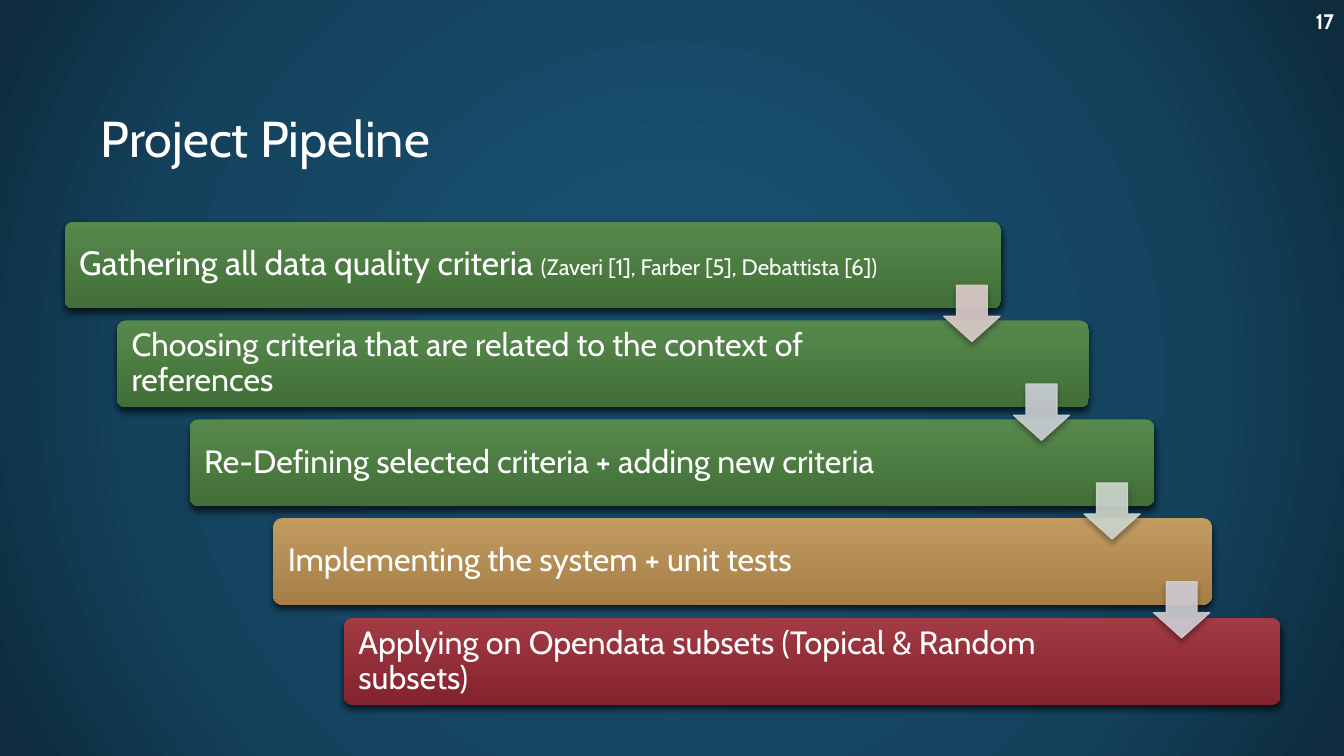
from lxml.etree import SubElement
from pptx import Presentation
from pptx.dml.color import RGBColor as RGB
from pptx.enum.shapes import MSO_SHAPE as SHAPE
from pptx.enum.text import MSO_ANCHOR as ANCHOR, MSO_AUTO_SIZE as AUTO, PP_ALIGN as ALIGN
from pptx.oxml import parse_xml
from pptx.oxml.ns import nsdecls, qn
from pptx.util import Pt

PX = 9144  # EMU, 100 px to the inch
C = {
    "white": "FFFFFF", "black": "000000",
    "bg": "184E6E", "bg_mid": "14425D", "bg_edge": "0E2C3E",
    "green": "57894D", "green_dark": "416F37",
    "gold": "C29B61", "gold_dark": "A57F46",
    "red": "A23B44", "red_dark": "84222D",
}


def write(sp, *runs, align=ALIGN.LEFT, bold=False, spacing=None):
    """Fill a shape with one paragraph made of (text, point size) runs."""
    tf = sp.text_frame
    tf.word_wrap = True
    tf.auto_size = AUTO.NONE
    tf.vertical_anchor = ANCHOR.MIDDLE
    p = tf.paragraphs[0]
    p.alignment = align
    p.line_spacing = spacing
    for text, size in runs:
        r = p.add_run()
        r.text = text
        r.font.name = "Cabin"
        r.font.size = Pt(size)
        r.font.bold = bold
        r.font.color.rgb = RGB.from_string(C["white"])


def add_shadow(sp, alpha, blur, dist):
    """Drop a black shadow downwards; alpha in percent, lengths in points."""
    sp.shadow.inherit = False
    effects = sp._element.spPr.find(qn("a:effectLst"))
    shadow = SubElement(effects, qn("a:outerShdw"), blurRad=str(Pt(blur)),
                        dist=str(Pt(dist)), dir="5400000", rotWithShape="0")
    color = SubElement(shadow, qn("a:srgbClr"), val=C["black"])
    SubElement(color, qn("a:alpha"), val=str(alpha * 1000))


prs = Presentation()
prs.slide_width, prs.slide_height = 1333 * PX, 750 * PX
s = prs.slides.add_slide(prs.slide_layouts[5])

# Radial background
s.background.fill.gradient()
grad = s._element.find(".//" + qn("a:gradFill"))
stops = "".join(
    f'<a:gs pos="{pos * 1000}"><a:srgbClr val="{C[name]}"/></a:gs>'
    for pos, name in [(0, "bg"), (23, "bg"), (69, "bg_mid"), (97, "bg_edge")])
grad.getparent().replace(grad, parse_xml(
    f'<a:gradFill {nsdecls("a")} rotWithShape="1"><a:gsLst>{stops}</a:gsLst>'
    '<a:path path="circle"><a:fillToRect l="50000" t="50000" r="50000" b="50000"/>'
    '</a:path></a:gradFill>'))

title = s.shapes.title
title.left, title.top, title.width, title.height = 90 * PX, 67 * PX, 1186 * PX, 138 * PX
write(title, ("Project Pipeline", 36))

# Pipeline steps: left, width, right edge of the text, colour, runs
steps = [
    (64, 929, 891, "green", [("Gathering all data quality criteria ", 24),
                             ("(Zaveri [1], Farber [5], Debattista [6])", 16)]),
    (116, 964, 946, "green",
     [("Choosing criteria that are related to the context of references", 23)]),
    (188, 957, 1014, "green",
     [("Re-Defining selected criteria + adding new criteria", 23)]),
    (271, 931, 1073, "gold", [("Implementing the system + unit tests", 23)]),
    (341, 929, 1142, "red",
     [("Applying on Opendata subsets (Topical & Random subsets)", 23)]),
]
tops = [220 + 393 * i // 4 for i in range(len(steps))]
for top, (left, width, text_right, color, runs) in zip(tops, steps):
    bar = s.shapes.add_shape(SHAPE.ROUNDED_RECTANGLE,
                             left * PX, top * PX, width * PX, 86 * PX)
    bar.adjustments[0] = 0.1
    bar.fill.gradient()
    bar.fill.gradient_angle = 270
    for stop, name in zip(bar.fill.gradient_stops, (color, color + "_dark")):
        stop.color.rgb = RGB.from_string(C[name])
    bar.line.fill.background()
    add_shadow(bar, 65, 5, 3)
    bar.text_frame.margin_left = 12 * PX
    bar.text_frame.margin_right = (left + width - text_right + 10) * PX
    write(bar, *runs, spacing=0.9)

# Arrows from each step to the next
for i, tint in enumerate(["DFCDCE", "CDD1D7", "D0D9CF", "D2CFD6"]):
    arrow = s.shapes.add_shape(SHAPE.DOWN_ARROW, (936 + round(69.4 * i)) * PX,
                               (tops[i] + 63) * PX, 56 * PX, 56 * PX)
    arrow.adjustments[0], arrow.adjustments[1] = 0.55, 0.45
    arrow.fill.solid()
    arrow.fill.fore_color.rgb = RGB.from_string(tint)
    arrow.line.color.rgb = RGB.from_string(tint)
    arrow.line.width = Pt(0.75)
    for color in arrow._element.spPr.findall(".//" + qn("a:srgbClr")):
        SubElement(color, qn("a:alpha"), val="90000")
    add_shadow(arrow, 35, 4, 3)

number = s.shapes.add_textbox(1195 * PX, 0, 138 * PX, 41 * PX)
write(number, ("17", 15), align=ALIGN.RIGHT, bold=True)

prs.save("out.pptx")
